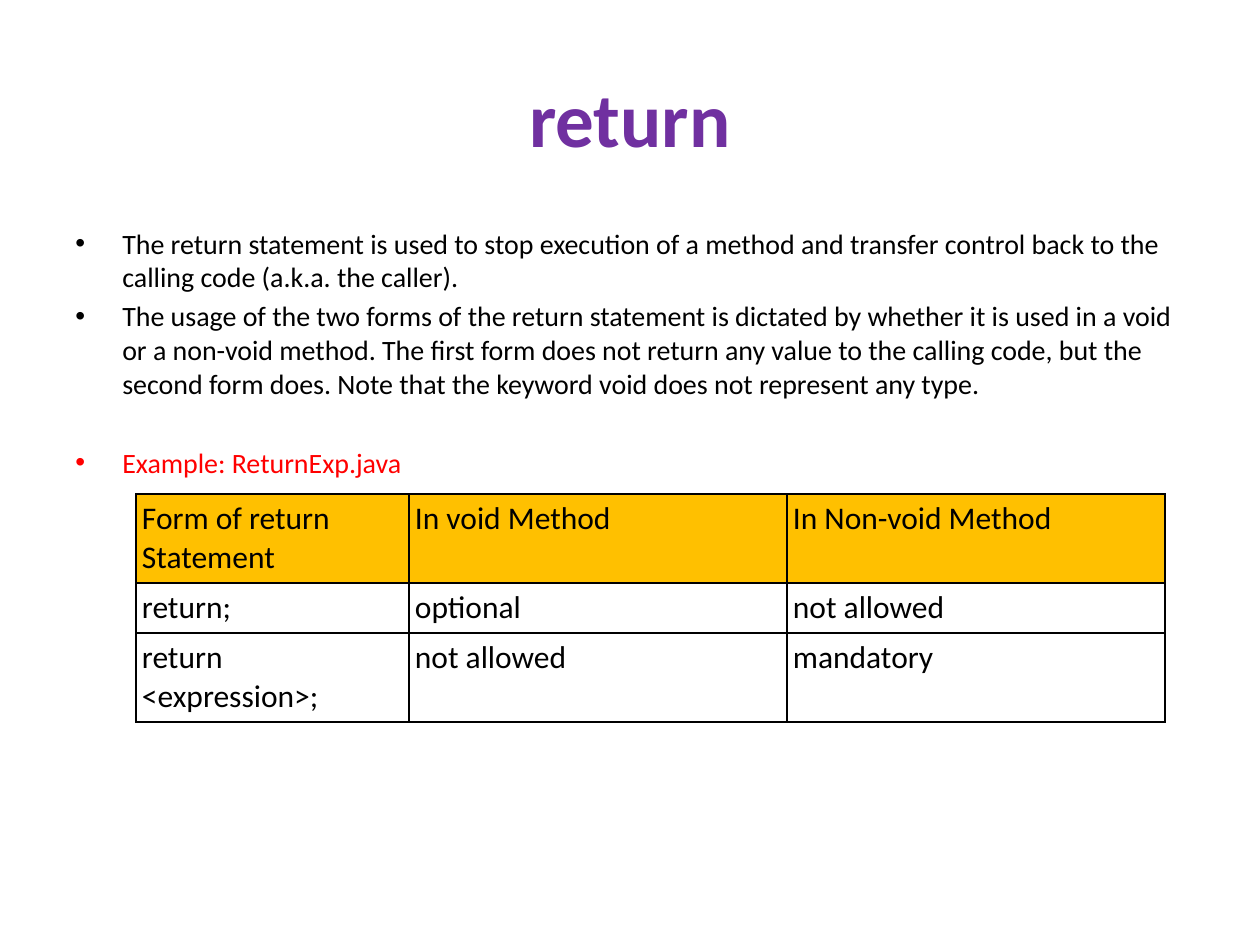
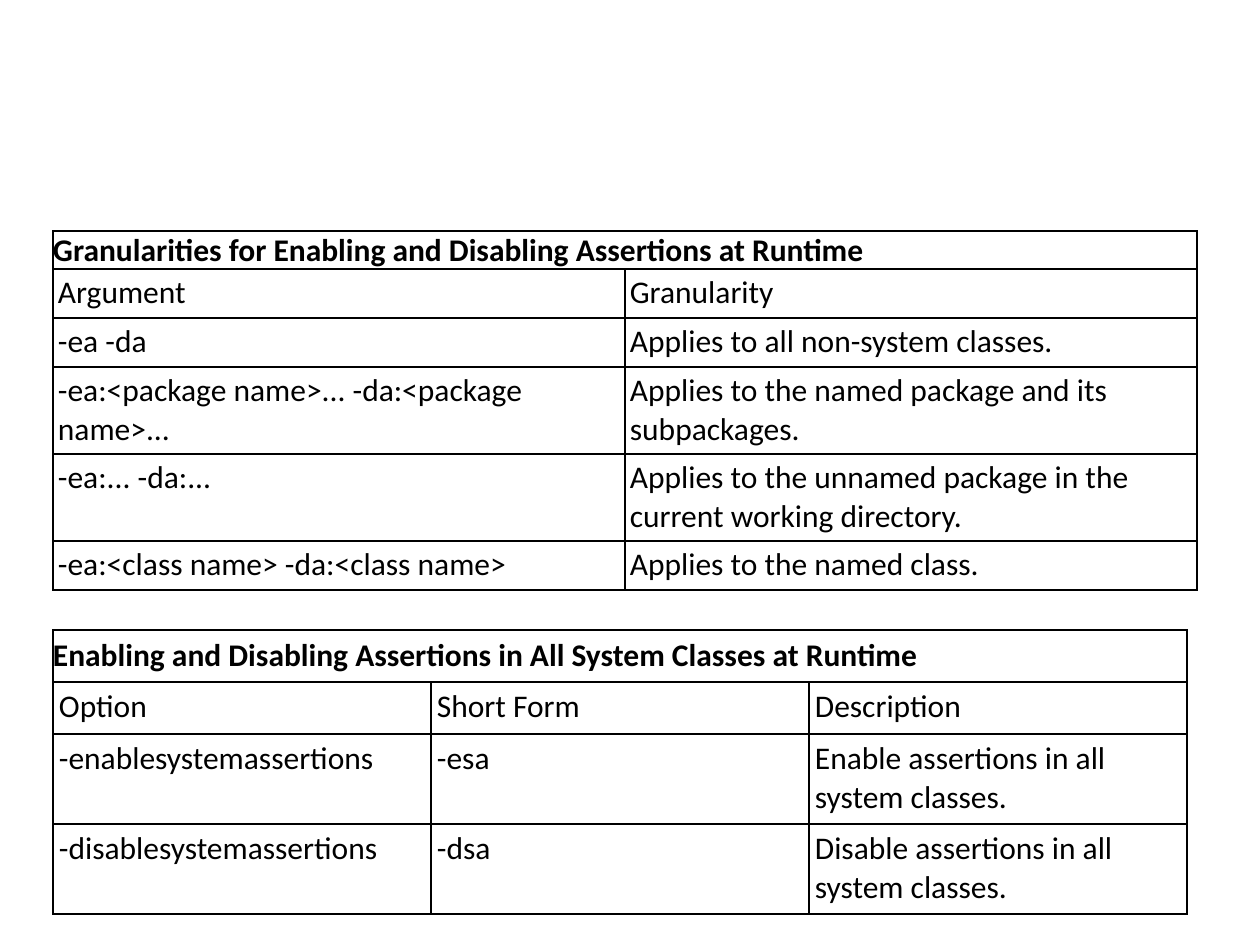
from lxml.etree import SubElement
from pptx import Presentation
from pptx.dml.color import RGBColor
from pptx.enum.text import MSO_ANCHOR as Anchor, PP_ALIGN as Align
from pptx.oxml.ns import qn
from pptx.util import Emu, Pt

PIXEL = 914400 / 126
BLACK, PURPLE, RED, GOLD = "000000", "7030A0", "FF0000", "FFC000"


def px(count):
    """Turn whole pixels into EMU."""
    return Emu(round(count * PIXEL))


def rgb(code):
    """Turn a hex string into a colour."""
    return RGBColor.from_string(code)


def write(para, text, size=18, color=BLACK, bold=False, align=Align.LEFT,
          before=0):
    """Put one formatted span of text into a paragraph."""
    para.alignment = align
    para.space_before = Pt(before)
    span = para.add_run()
    span.text = text
    span.font.name = Page.font
    span.font.size = Pt(size)
    span.font.bold = bold
    span.font.color.rgb = rgb(color)


def add_bullet(para, indent):
    """Give a paragraph a round bullet with a hanging indent."""
    props = para._p.get_or_add_pPr()
    props.set("marL", str(indent))
    props.set("indent", str(-indent))
    SubElement(props, qn("a:buFont"), typeface="Arial")
    SubElement(props, qn("a:buChar"), char="\u2022")


def add_borders(cell, color=BLACK, width=1):
    """Draw a line on all four sides of a table cell."""
    props = cell._tc.get_or_add_tcPr()
    for side in ("lnL", "lnR", "lnT", "lnB"):
        line = SubElement(props, qn(f"a:{side}"), w=str(Pt(width)))
        fill = SubElement(line, qn("a:solidFill"))
        SubElement(fill, qn("a:srgbClr"), val=color)


class Page:
    """The shared style and the current slide."""

    font = "Calibri"

    def __init__(self, deck):
        """Add a blank slide to the deck."""
        self.slide = deck.slides.add_slide(deck.slide_layouts[6])

    def text_box(self, left, top, width, height, anchor=Anchor.TOP):
        """Add a wrapping text box and return its frame."""
        box = self.slide.shapes.add_textbox(
            px(left), px(top), px(width), px(height))
        frame = box.text_frame
        frame.word_wrap = True
        frame.vertical_anchor = anchor
        return frame

    def title(self, text):
        """Add the centred slide title."""
        frame = self.text_box(63, 38, 1134, 157, Anchor.MIDDLE)
        write(frame.paragraphs[0], text, size=44, color=PURPLE, bold=True,
              align=Align.CENTER)

    def bullets(self, items):
        """Add the body list from (text, format) pairs."""
        frame = self.text_box(63, 220, 1134, 624)
        for index, (text, style) in enumerate(items):
            para = frame.add_paragraph() if index else frame.paragraphs[0]
            write(para, text, **{"size": 16, "before": 3.2, **style})
            add_bullet(para, px(47))

    def table(self, left, top, widths, heights, rows, inset=6, caption=None,
              header_fill=None):
        """Add a ruled table, with an optional caption row across the top."""
        shape = self.slide.shapes.add_table(
            len(heights), len(widths), px(left), px(top),
            px(sum(widths)), px(sum(heights)))
        grid = shape.table
        grid.first_row = grid.horz_banding = False
        for column, width in zip(grid.columns, widths):
            column.width = px(width)
        for row, height in zip(grid.rows, heights):
            row.height = px(height)
        for cell in grid.iter_cells():
            add_borders(cell)
            cell.fill.background()
        first = 0
        if caption:
            first = 1
            head = grid.cell(0, 0)
            head.merge(grid.cell(0, len(widths) - 1))
            self.fill_cell(head, caption, 0, bold=True)
            head.vertical_anchor = Anchor.MIDDLE
        for r, texts in enumerate(rows, first):
            for c, text in enumerate(texts):
                cell = grid.cell(r, c)
                self.fill_cell(cell, text, inset)
                if header_fill and r == first:
                    cell.fill.solid()
                    cell.fill.fore_color.rgb = rgb(header_fill)

    def fill_cell(self, cell, text, inset, **style):
        """Write one table cell with equal insets."""
        cell.margin_left = cell.margin_right = px(inset)
        cell.margin_top = cell.margin_bottom = px(inset)
        write(cell.text_frame.paragraphs[0], text, **style)


def return_page(deck):
    """Build the slide on the return statement."""
    page = Page(deck)
    page.title("return")
    page.bullets([
        ("The return statement is used to stop execution of a method and "
         "transfer control back to the calling code (a.k.a. the caller).", {}),
        ("The usage of the two forms of the return statement is dictated by "
         "whether it is used in a void or a non-void method. The first form "
         "does not return any value to the calling code, but the second form "
         "does. Note that the keyword void does not represent any type.", {}),
        ("Example: ReturnExp.java", {"color": RED, "before": 26}),
    ])
    page.table(136, 494, [273, 378, 378], [89, 50, 89], [
        ("Form of return Statement", "In void Method", "In Non-void Method"),
        ("return;", "optional", "not allowed"),
        ("return <expression>;", "not allowed", "mandatory"),
    ], header_fill=GOLD)


def assertions_page(deck):
    """Build the slide on assertion switches."""
    page = Page(deck)
    page.table(53, 231, [572] * 2, [38, 49, 49, 87, 87, 49], [
        ("Argument", "Granularity"),
        ("-ea -da", "Applies to all non-system classes."),
        ("-ea:<package name>... -da:<package name>...",
         "Applies to the named package and its subpackages."),
        ("-ea:... -da:...",
         "Applies to the unnamed package in the current working directory."),
        ("-ea:<class name> -da:<class name>", "Applies to the named class."),
    ], inset=5, caption="Granularities for Enabling and Disabling Assertions "
                        "at Runtime")
    page.table(53, 630, [378] * 3, [52, 52, 90, 90], [
        ("Option", "Short Form", "Description"),
        ("-enablesystemassertions", "-esa",
         "Enable assertions in all system classes."),
        ("-disablesystemassertions", "-dsa",
         "Disable assertions in all system classes."),
    ], caption="Enabling and Disabling Assertions in All System Classes "
               "at Runtime")


def main():
    """Build and save the deck."""
    deck = Presentation()
    deck.slide_width, deck.slide_height = px(1260), px(945)
    return_page(deck)
    assertions_page(deck)
    deck.save("out.pptx")


main()
